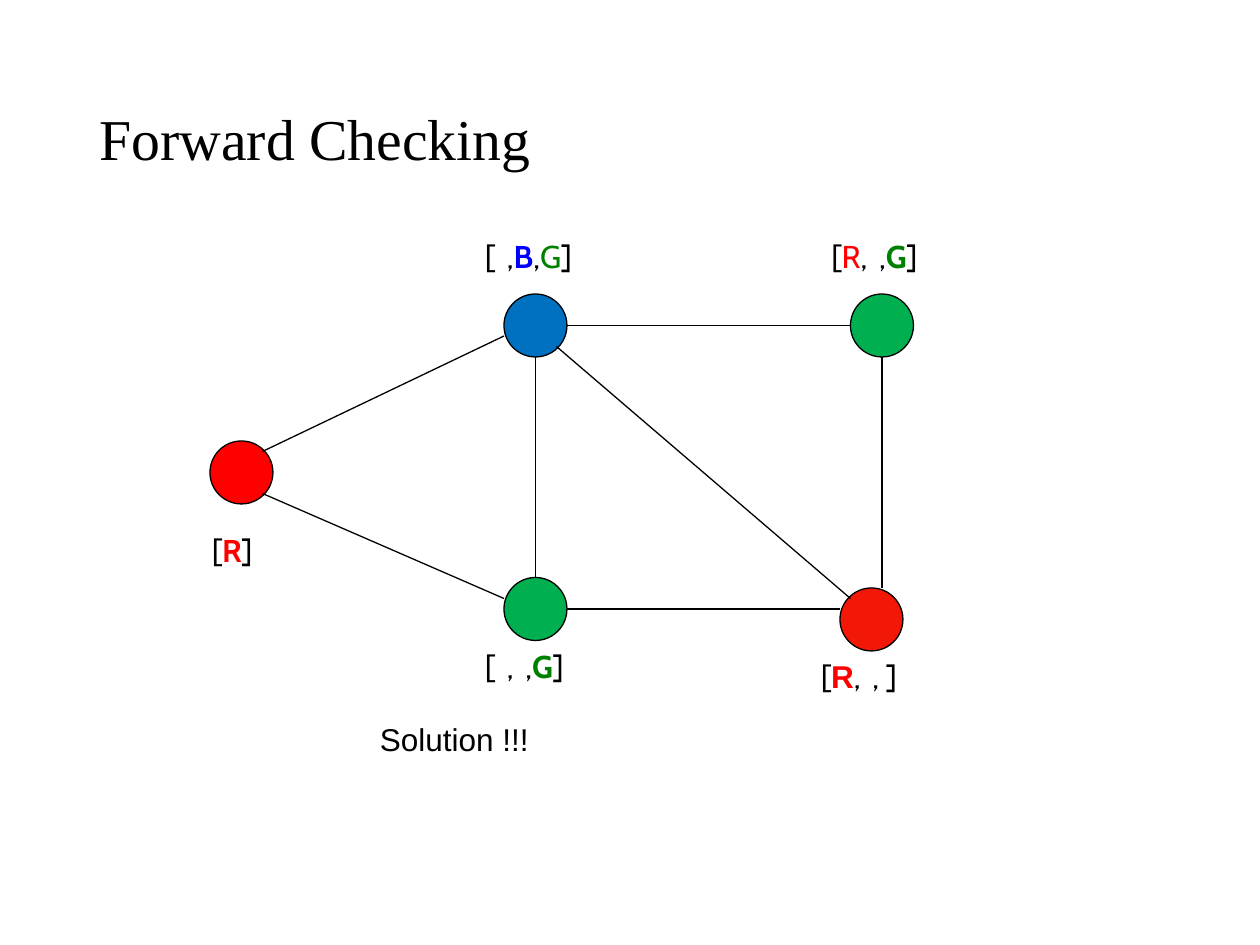
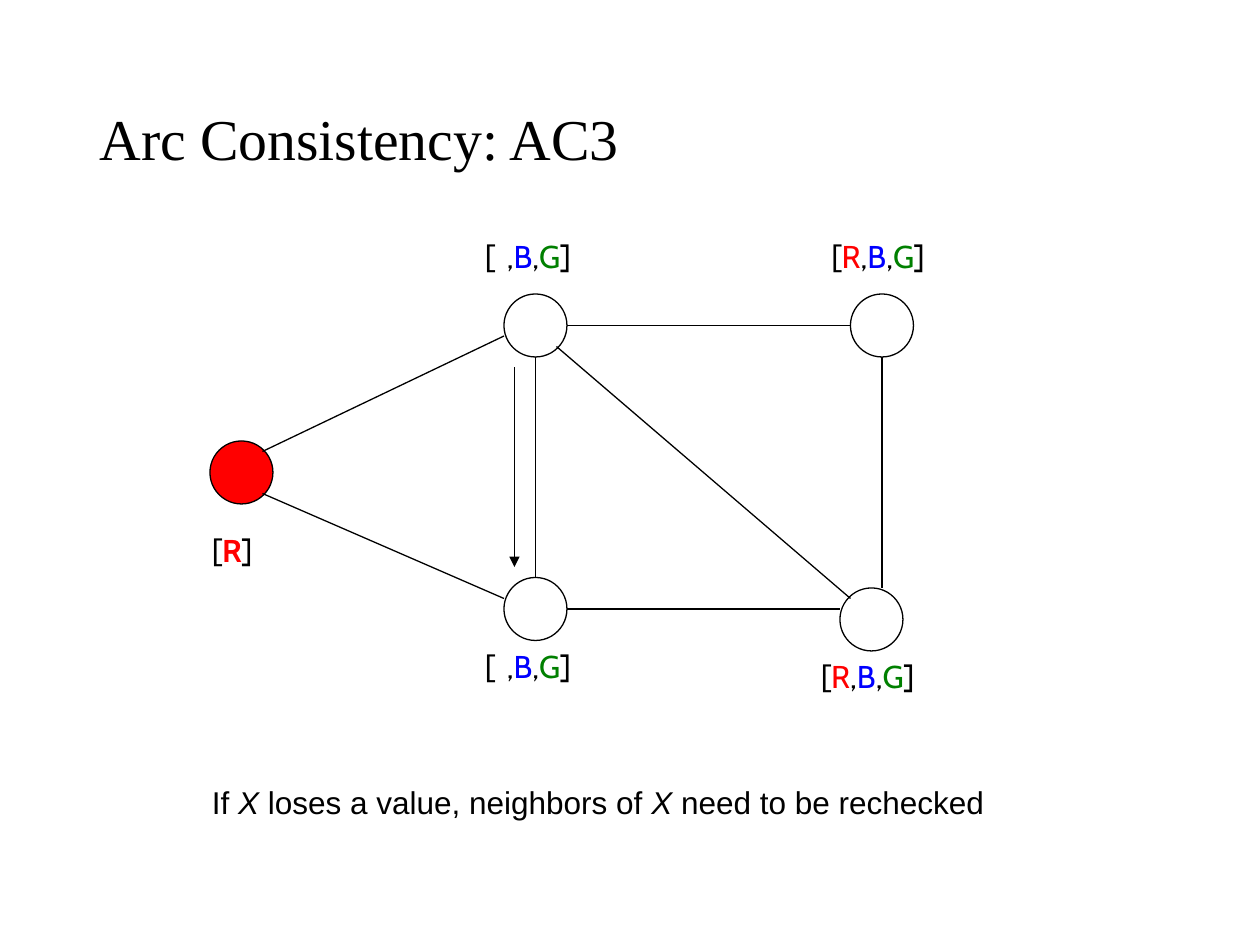
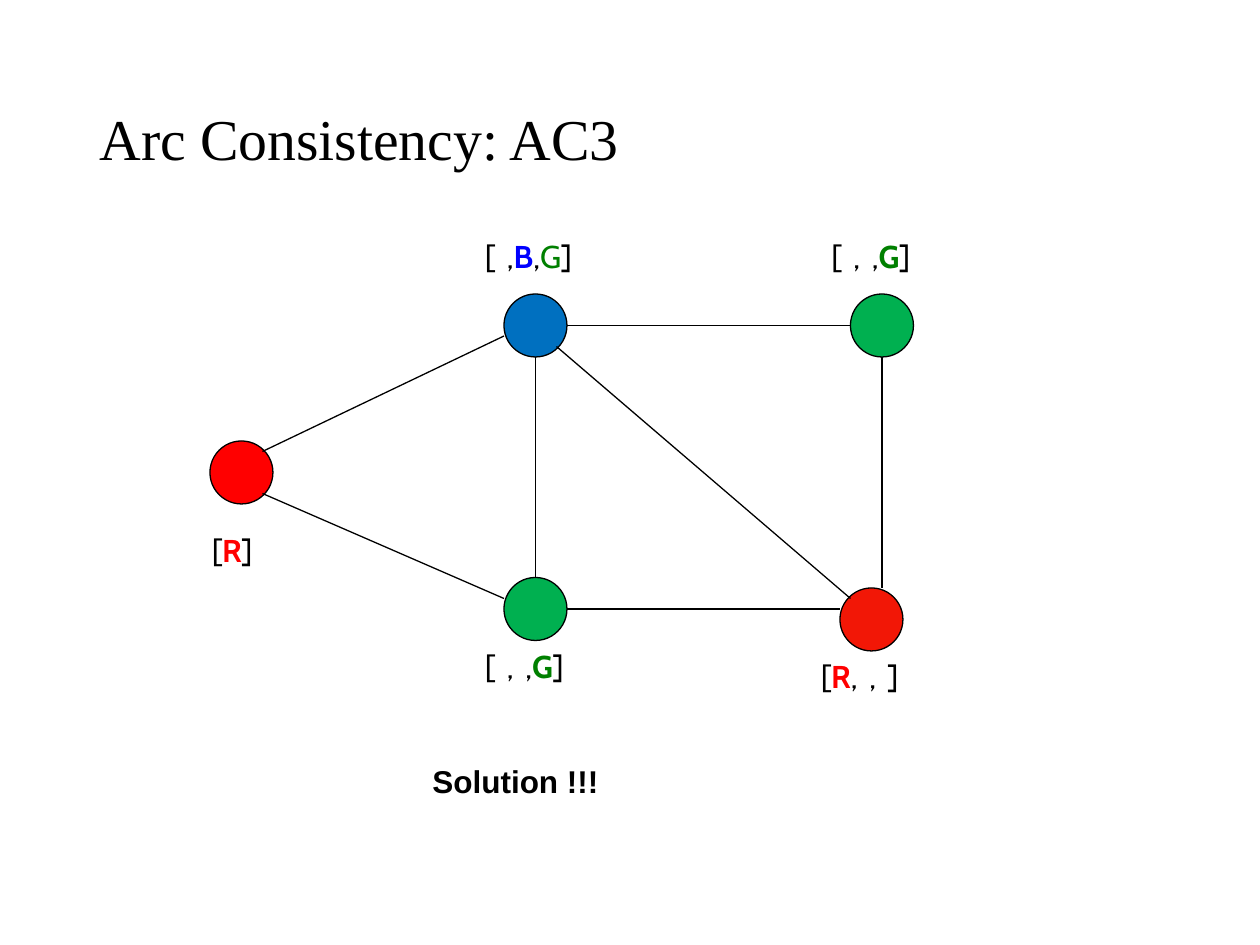
"""Build three slides on colouring a graph by constraint propagation."""
from itertools import groupby

from lxml.etree import SubElement
from pptx import Presentation
from pptx.dml.color import RGBColor
from pptx.enum.shapes import MSO_CONNECTOR, MSO_SHAPE
from pptx.enum.text import MSO_ANCHOR, MSO_AUTO_SIZE
from pptx.oxml.ns import qn
from pptx.util import Pt

COLORS = {
    "ink": "000000", "R": "FF0000", "B": "0000FF", "G": "008000",
    "red": "FF0000", "scarlet": "F21706", "blue": "0070C0", "green": "00B050",
}
TITLE_BOX = (49.7, 28.8, 620.6, 104.4)
GRAPH_BOX = (114, 132, 408, 269)
NODE_SIZE = 36
LINE_HEIGHT = 28.8
WIDE_GAP = "_"
GAP_SPACING = "260"

NODES = {
    "left": (6, 120), "bottom": (174, 198), "top": (174, 36),
    "bottom right": (366, 204), "top right": (372, 36),
}
LABELS = {
    "left": (0, 168, 41), "top right": (354, 0, 75), "top": (156, 0, 75),
    "bottom": (156, 234, 75), "bottom right": (348, 240, 74),
}
EDGES = [
    (36, 126, 174, 60), (36, 150, 174, 210), (192, 72, 192, 198),
    (210, 54, 372, 54), (390, 72, 390, 204), (210, 216, 366, 216),
    (204, 66, 372, 210),
]
ARC = (180, 78, 180, 192)

SOLVED_FILLS = {
    "left": "red", "bottom": "green", "top": "blue",
    "bottom right": "scarlet", "top right": "green",
}
ONLY_RED = ["[", "*R", "]"]
ONLY_GREEN = ["[_,_,", "*G", "]"]
PICKED_BLUE = ["[_,", "*B", ",", "G", "]"]
BLUE_GREEN = ["[_,", "B", ",", "G", "]"]
ANY_COLOR = ["[", "R", ",", "B", ",", "G", "]"]


def rgb(name):
    """Return the named colour."""
    return RGBColor.from_string(COLORS[name])


def add_run(p, text, font="Arial", size=18, color="ink", bold=False, italic=False):
    """Append one styled run to a paragraph."""
    r = p.add_run()
    r.text = text
    r.font.name = font
    r.font.size = Pt(size)
    r.font.bold = bold
    r.font.italic = italic
    r.font.color.rgb = rgb(color)
    return r


def add_text_box(s, box, wrap=True):
    """Add an empty text box and return its text frame."""
    tf = s.shapes.add_textbox(*map(Pt, box)).text_frame
    tf.word_wrap = wrap
    return tf


def add_title(s, box, text):
    """Add the slide title."""
    tf = add_text_box(s, box)
    tf.vertical_anchor = MSO_ANCHOR.MIDDLE
    p = tf.paragraphs[0]
    p.line_spacing = 0.9
    add_run(p, text, "Times New Roman", 33)


def add_node(s, left, top, fill):
    """Add one graph node, hollow when it has no fill."""
    sp = s.shapes.add_shape(MSO_SHAPE.OVAL, Pt(left), Pt(top), Pt(NODE_SIZE), Pt(NODE_SIZE))
    sp.shadow.inherit = False
    sp.line.color.rgb = rgb("ink")
    sp.line.width = Pt(0.75)
    if fill:
        sp.fill.solid()
        sp.fill.fore_color.rgb = rgb(fill)
    else:
        sp.fill.background()


def add_edge(s, left, top, ends, arrow=False):
    """Add a straight edge, with an arrowhead at its end if asked."""
    x1, y1, x2, y2 = ends
    points = (left + x1, top + y1, left + x2, top + y2)
    line = s.shapes.add_connector(MSO_CONNECTOR.STRAIGHT, *map(Pt, points))
    line.line.color.rgb = rgb("ink")
    line.line.width = Pt(0.75)
    if arrow:
        SubElement(line.line._get_or_add_ln(), qn("a:tailEnd"), type="triangle")
    SubElement(line._element.spPr, qn("a:effectLst"))


def add_domain(s, box, parts, bold_font="Cabin"):
    """Add a node's domain; a star marks a bold value."""
    tf = add_text_box(s, box, wrap=False)
    tf.auto_size = MSO_AUTO_SIZE.SHAPE_TO_FIT_TEXT
    p = tf.paragraphs[0]
    for part in parts:
        bold = part.startswith("*")
        value = part.lstrip("*")
        font = bold_font if bold else "Cabin"
        for is_gap, chars in groupby(value, lambda c: c == WIDE_GAP):
            text = " " if is_gap else "".join(chars)
            r = add_run(p, text, font, color=value if value in COLORS else "ink", bold=bold)
            if is_gap:
                r.font._element.set("spc", GAP_SPACING)


def add_graph(s, box, fills, domains, arc=None, bold_fonts=None):
    """Draw nodes, edges and domains inside the box."""
    left, top = box[:2]
    for name, (x, y) in NODES.items():
        add_node(s, left + x, top + y, fills.get(name))
    for ends in EDGES:
        add_edge(s, left, top, ends)
    for name, (x, y, width) in LABELS.items():
        label_box = (left + x, top + y, width, LINE_HEIGHT)
        add_domain(s, label_box, domains[name], (bold_fonts or {}).get(name, "Cabin"))
    if arc:
        add_edge(s, left, top, arc, arrow=True)


def add_note(s, box, runs):
    """Add the closing remark from (text, style) runs."""
    p = add_text_box(s, box).paragraphs[0]
    for text, style in runs:
        add_run(p, text, **style)


def add_graph_slide(prs, title, note_box, note, **graph):
    """Add a slide with a title, a graph and a remark."""
    s = prs.slides.add_slide(prs.slide_layouts[6])
    add_title(s, TITLE_BOX, title)
    add_graph(s, GRAPH_BOX, **graph)
    add_note(s, note_box, note)


def main():
    """Build and save the deck."""
    prs = Presentation()
    prs.slide_width, prs.slide_height = Pt(720), Pt(540)
    solved = {"left": ONLY_RED, "top": PICKED_BLUE, "bottom": ONLY_GREEN}
    add_graph_slide(
        prs, "Forward Checking", (210, 408, 198, LINE_HEIGHT), [("Solution !!!", {})],
        fills=SOLVED_FILLS,
        domains=solved | {"top right": ["[", "R", ",_,", "*G", "]"],
                          "bottom right": ["[", "*R", ",_, ]"]},
        bold_fonts={"bottom right": "Arial"})
    italic = {"italic": True}
    add_graph_slide(
        prs, "Arc Consistency: AC3", (114, 444, 486, LINE_HEIGHT),
        [("If ", {}), ("X", italic), (" loses a value, neighbors of ", {}),
         ("X", italic), (" need to be rechecked", {})],
        fills={"left": "red"},
        domains={"left": ONLY_RED, "top": BLUE_GREEN, "bottom": BLUE_GREEN,
                 "top right": ANY_COLOR, "bottom right": ANY_COLOR},
        arc=ARC)
    add_graph_slide(
        prs, "Arc Consistency: AC3", (240, 432, 126, LINE_HEIGHT),
        [("Solution !!!", {"bold": True})],
        fills=SOLVED_FILLS,
        domains=solved | {"top right": ONLY_GREEN,
                          "bottom right": ["[", "*R", ",_,_]"]})
    prs.save("out.pptx")


if __name__ == "__main__":
    main()
